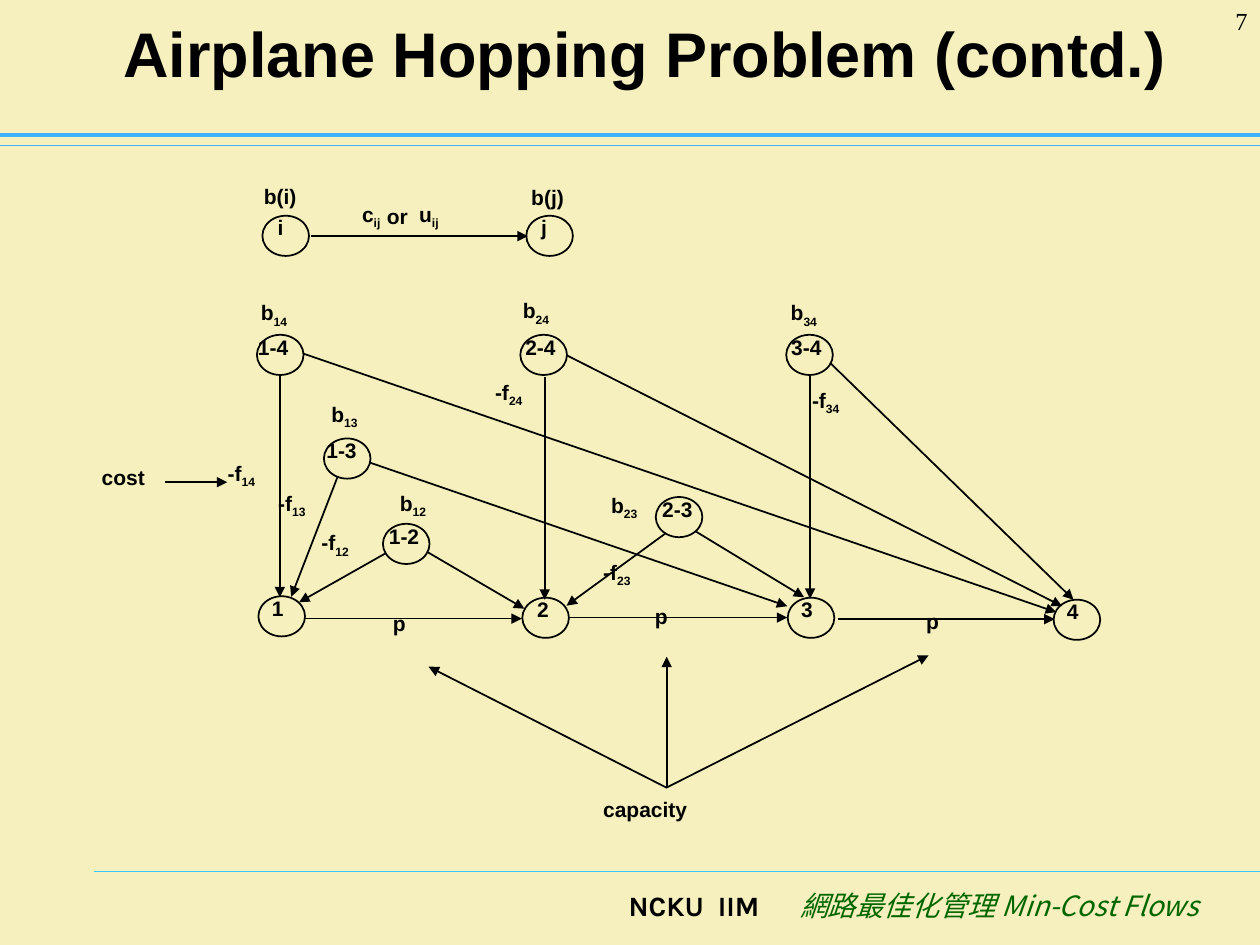
import pptx
import pptx.util
import pptx.dml.color
import pptx.enum.shapes
import pptx.enum.text
import pptx.oxml.ns
import lxml.etree

Cm = pptx.util.Cm
Pt = pptx.util.Pt
qn = pptx.oxml.ns.qn
align = pptx.enum.text.PP_ALIGN
fit = pptx.enum.text.MSO_AUTO_SIZE
BOLD = {"name": "Arial", "size": Pt(12), "bold": True}


def tint(color, code):
    color.rgb = pptx.dml.color.RGBColor.from_string(code)


def write(box, parts, form, code="000000", side=align.LEFT):
    para = box.text_frame.paragraphs[0]
    para.alignment = side
    for spot, part in enumerate(parts):
        run = para.add_run()
        run.text = part
        for key, val in form.items():
            setattr(run.font, key, val)
        tint(run.font.color, code)
        props = run._r.get_or_add_rPr()
        lxml.etree.SubElement(props, qn("a:ea")).set("typeface", form["name"])
        if spot:
            props.set("baseline", "-25000")


deck = pptx.Presentation()
deck.slide_width, deck.slide_height = Cm(25.4), Cm(19.05)
slide = deck.slides.add_slide(deck.slide_layouts[5])
slide.background.fill.solid()
tint(slide.background.fill.fore_color, "F5F0BD")
shapes = slide.shapes

title = shapes.title
place = {"left": Cm(1.85), "top": Cm(0.58), "width": Cm(22.3), "height": Cm(0.94)}
for key, val in place.items():
    setattr(title, key, val)
frame = {"word_wrap": True, "auto_size": fit.NONE,
         "vertical_anchor": pptx.enum.text.MSO_ANCHOR.MIDDLE}
for key, val in frame.items():
    setattr(title.text_frame, key, val)
write(title, ["Airplane Hopping Problem (contd.)"],
      {"name": "Arial", "size": Pt(36), "bold": True}, side=align.CENTER)

nodes = [
    ("1", 5.21, 12.02, 0.02), ("2", 10.53, 12.05, 0.05),
    ("3", 15.88, 12.05, 0.02), ("4", 21.24, 12.09, 0.02),
    ("1-4", 5.18, 6.75, -0.23), ("2-4", 10.49, 6.75, -0.15),
    ("3-4", 15.85, 6.75, -0.15), ("1-3", 6.53, 8.84, -0.2),
    ("1-2", 7.72, 10.56, -0.13), ("2-3", 13.22, 10.02, -0.12),
    ("i", 5.29, 4.35, 0.06), ("j", 10.61, 4.35, 0.05),
]
labels = []
for name, x, y, shift in nodes:
    oval = shapes.add_shape(pptx.enum.shapes.MSO_SHAPE.OVAL,
                            Cm(x), Cm(y), Cm(0.94), Cm(0.81))
    oval.shadow.inherit = False
    oval.fill.solid()
    tint(oval.fill.fore_color, "F5F0BD")
    tint(oval.line.color, "000000")
    oval.line.width = Pt(1)
    wide = 1.15 if "-" in name else 0.78 if name.isdigit() else 0.65
    labels.append(([name], x + shift, y - 0.14, wide))

rules = [
    (1.9, 17.57, 25.4, 17.57, "33CCFF", 0.75),
    (0, 2.94, 25.4, 2.94, "3DB0FF", 0.75),
    (0, 2.72, 25.4, 2.72, "3DB0FF", 2.5),
]
arcs = [
    (5.64, 7.54, 5.64, 12.04), (16.33, 7.57, 16.33, 12.07),
    (10.98, 7.59, 10.98, 12.09), (6.15, 12.47, 10.52, 12.47),
    (11.48, 12.45, 15.87, 12.45), (16.89, 12.48, 21.26, 12.48),
    (16.74, 7.32, 21.64, 12.09), (11.42, 7.16, 21.41, 12.22),
    (6.12, 7.13, 21.29, 12.34), (6.81, 9.6, 5.87, 12.03),
    (7.44, 9.32, 15.87, 12.22), (7.78, 11.15, 6.03, 12.14),
    (8.62, 11.13, 10.57, 12.27), (13.42, 10.75, 11.42, 12.21),
    (14.02, 10.71, 16.21, 12.04), (6.27, 4.76, 10.64, 4.76),
    (13.43, 15.88, 18.72, 13.21), (13.44, 15.88, 13.44, 13.24),
    (13.44, 15.88, 8.64, 13.44), (3.33, 9.72, 4.58, 9.72),
]
for *ends, code, thick in rules + [(*arc, "000000", 1) for arc in arcs]:
    line = shapes.add_connector(pptx.enum.shapes.MSO_CONNECTOR.STRAIGHT,
                                *[Cm(end) for end in ends])
    tint(line.line.color, code)
    line.line.width = Pt(thick)
    if code == "000000":
        tail = lxml.etree.SubElement(line.line._get_or_add_ln(), qn("a:tailEnd"))
        tail.set("type", "triangle")
    lxml.etree.SubElement(line._element.spPr, qn("a:effectLst"))

labels += [
    (["p"], 7.67, 12.18, 0.8), (["p"], 12.95, 12.04, 0.8),
    (["p"], 18.42, 12.14, 0.8),
    (["b(i)"], 5.07, 3.58, 1.25), (["b(j)"], 10.46, 3.6, 1.25),
    (["c", "ij"], 7.05, 3.94, 1), (["or"], 7.55, 3.98, 1.05),
    (["u", "ij"], 8.2, 3.94, 1.05),
    (["cost"], 1.8, 9.23, 1.5), (["capacity"], 11.91, 15.93, 2.4),
]
pairs = [
    ("14", 5.01, 5.92, 4.34, 9.16), ("13", 6.43, 7.96, 5.36, 9.76),
    ("12", 7.81, 9.76, 6.23, 10.56), ("24", 10.29, 5.88, 9.73, 7.52),
    ("23", 12.07, 9.8, 11.91, 11.15), ("34", 15.69, 5.92, 16.12, 7.69),
]
for sub, bx, by, fx, fy in pairs:
    labels += [(["b", sub], bx, by, 1.15), (["-f", sub], fx, fy, 1.15)]
for parts, x, y, wide in labels:
    box = shapes.add_textbox(Cm(x), Cm(y), Cm(wide), Cm(0.84 if parts[1:] else 0.76))
    box.text_frame.word_wrap = False
    box.text_frame.auto_size = fit.SHAPE_TO_FIT_TEXT
    write(box, parts, BOLD)

notes = [
    ("NCKU  IIM", 10.54, 17.78, 5.02, "000000",
     {"name": "Karla", "size": Pt(16), "bold": True}),
    ("網路最佳化管理 Min-Cost Flows", 14.4, 17.78, 10.01, "006600",
     {"name": "Noto Sans CJK SC", "size": Pt(16), "italic": True}),
    ("7", 23.29, 0, 2.11, "000000", {"name": "Times New Roman", "size": Pt(14)}),
]
for words, x, y, wide, code, form in notes:
    box = shapes.add_textbox(Cm(x), Cm(y), Cm(wide), Cm(1.27))
    box.text_frame.word_wrap = True
    write(box, [words], form, code, align.RIGHT)

deck.save("out.pptx")
